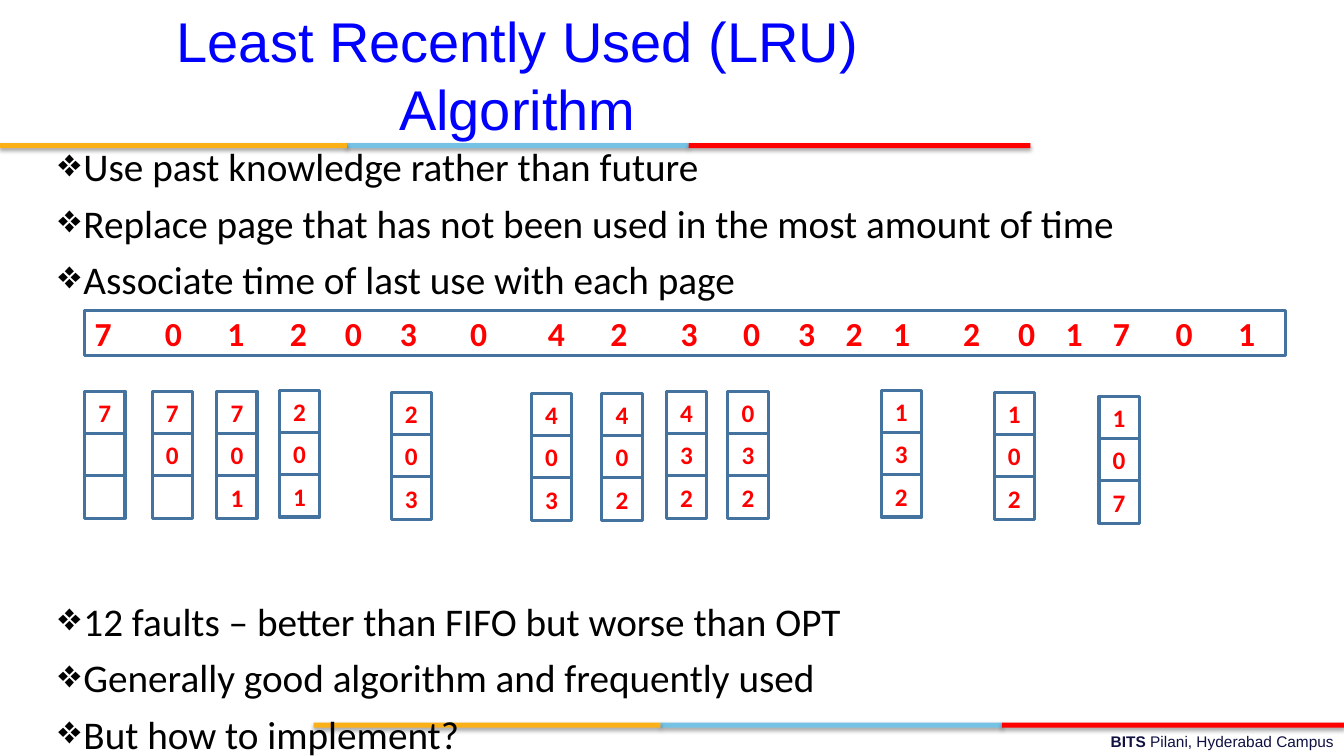
from itertools import accumulate
from typing import NamedTuple

from lxml.etree import SubElement
from pptx import Presentation
from pptx.dml.color import RGBColor
from pptx.enum.shapes import MSO_SHAPE
from pptx.enum.text import MSO_ANCHOR as Anchor, PP_ALIGN as Align
from pptx.oxml.ns import qn
from pptx.util import Inches, Pt

RED, BLACK, FRAME_BLUE = "FF0000", "000000", "43739E"
PAGE_FORMAT = {"name": "Calibri", "bold": True}


class Band(NamedTuple):
    offset: float
    width: float
    color: str


class FrameState(NamedTuple):
    left: float
    top: float
    pages: str


BANDS = [Band(3.44, 3.39, "76C2E5"), Band(0, 3.44, "FCB017"), Band(6.83, 3.39, RED)]
BAND_STARTS = [(0, 1.42), (3.11, 7.17)]
BAND_HEIGHT = 0.05

FRAME_STATES = [
    FrameState(0.84, 3.88, "7  "),
    FrameState(1.51, 3.88, "70 "),
    FrameState(2.15, 3.88, "701"),
    FrameState(2.77, 3.87, "201"),
    FrameState(3.88, 3.89, "203"),
    FrameState(5.27, 3.9, "403"),
    FrameState(5.97, 3.9, "402"),
    FrameState(6.61, 3.88, "432"),
    FrameState(7.22, 3.88, "032"),
    FrameState(8.74, 3.87, "132"),
    FrameState(9.86, 3.89, "102"),
    FrameState(10.9, 3.93, "107"),
]
CELL_WIDTH, CELL_HEIGHT = 0.4, 0.42

REFERENCES = "70120304230321201701"
# Width of each gap between references, in units of one space
GAPS = [7, 6, 6, 5, 5, 7, 8, 6, 7, 6, 5, 4, 4, 7, 5, 4, 4, 6, 6]
DIGIT_WIDTH, SPACE_WIDTH = 12.17, 5.42

IDEAS = [
    "Use past knowledge rather than future",
    "Replace page that has not been used in the most amount of time",
    "Associate time of last use with each page",
]
FINDINGS = [
    "12 faults – better than FIFO but worse than OPT",
    "Generally good algorithm and frequently used",
    "But how to implement?",
]
POINT_GAP, DIAGRAM_GAP = 10, 214


def rgb(color: str) -> RGBColor:
    return RGBColor.from_string(color)


def add_run(paragraph, text: str, size: float, color: str, **formats) -> None:
    run = paragraph.add_run()
    run.text = text
    run.font.color.rgb = rgb(color)
    for name, value in {"size": Pt(size), **formats}.items():
        setattr(run.font, name, value)


def add_text_area(slide, left: float, top: float, width: float, height: float):
    area = slide.shapes.add_textbox(*map(Inches, (left, top, width, height)))
    area.text_frame.word_wrap = True
    return area.text_frame


def add_rectangle(slide, left: float, top: float, width: float, height: float):
    box = slide.shapes.add_shape(
        MSO_SHAPE.RECTANGLE, *map(Inches, (left, top, width, height)))
    box.shadow.inherit = False
    return box


def add_outline(slide, left: float, top: float, width: float, height: float,
                line_width: float):
    """Add an unfilled blue rectangle and return its text frame."""
    box = add_rectangle(slide, left, top, width, height)
    box.fill.background()
    box.line.color.rgb = rgb(FRAME_BLUE)
    box.line.width = Pt(line_width)
    box.text_frame.vertical_anchor = Anchor.MIDDLE
    return box.text_frame


def add_band(slide, band: Band, left: float, top: float) -> None:
    bar = add_rectangle(slide, left + band.offset, top, band.width, BAND_HEIGHT)
    bar.fill.solid()
    bar.fill.fore_color.rgb = rgb(band.color)
    bar.line.fill.background()
    effects = bar._element.spPr.find(qn("a:effectLst"))
    shadow = SubElement(effects, qn("a:outerShdw"), blurRad=str(Pt(3.1)),
                        dist=str(Pt(1.8)), dir="5400000", rotWithShape="0")
    tint = SubElement(shadow, qn("a:srgbClr"), val=BLACK)
    SubElement(tint, qn("a:alpha"), val="35000")


def add_points(slide) -> None:
    frame = add_text_area(slide, 0.48, 1.42, 13.03, 5.53)
    for index, text in enumerate(IDEAS + FINDINGS):
        point = frame.add_paragraph() if index else frame.paragraphs[0]
        point.line_spacing = 0.9
        if index:
            point.space_before = Pt(DIAGRAM_GAP if index == len(IDEAS) else POINT_GAP)
        props = point._p.get_or_add_pPr()
        props.set("marL", str(Inches(0.25)))
        props.set("indent", str(Inches(-0.25)))
        bullet_color = SubElement(props, qn("a:buClr"))
        SubElement(bullet_color, qn("a:srgbClr"), val=BLACK)
        SubElement(props, qn("a:buChar"), char="❖")
        add_run(point, text, 28, BLACK, name="Calibri")


def add_reference_string(slide) -> None:
    frame = add_outline(slide, 0.84, 3.08, 11.91, 0.45, 2)
    references = frame.paragraphs[0]
    references.alignment = Align.LEFT
    tabs = SubElement(references._p.get_or_add_pPr(), qn("a:tabLst"))
    for stop in accumulate(DIGIT_WIDTH + gap * SPACE_WIDTH for gap in GAPS):
        SubElement(tabs, qn("a:tab"), pos=str(Pt(stop)), algn="l")
    add_run(references, "\t".join(REFERENCES), 24, RED, **PAGE_FORMAT)


def add_frame_state(slide, state: FrameState) -> None:
    for row, page in enumerate(state.pages):
        cell = add_outline(slide, state.left, state.top + row * CELL_HEIGHT,
                           CELL_WIDTH, CELL_HEIGHT, 2.25)
        if page != " ":
            cell.paragraphs[0].alignment = Align.CENTER
            add_run(cell.paragraphs[0], page, 18, RED, **PAGE_FORMAT)


def main() -> None:
    deck = Presentation()
    deck.slide_width, deck.slide_height = Inches(13.33), Inches(7.5)
    slide = deck.slides.add_slide(deck.slide_layouts[6])

    for left, top in BAND_STARTS:
        for band in BANDS:
            add_band(slide, band, left, top)

    campus = add_text_area(slide, 4.78, 7.21, 8.55, 0.28).paragraphs[0]
    campus.alignment = Align.RIGHT
    add_run(campus, "BITS ", 11, "101141", name="Arial", bold=True)
    add_run(campus, "Pilani, Hyderabad Campus", 11, "101141", name="Arial")

    title = add_text_area(slide, 0.48, 0.02, 9.3, 1.43).paragraphs[0]
    title.alignment = Align.CENTER
    add_run(title, "Least Recently Used (LRU) Algorithm", 40, "0000FF", name="Arial")

    add_points(slide)
    add_reference_string(slide)
    for state in FRAME_STATES:
        add_frame_state(slide, state)

    deck.save("out.pptx")


if __name__ == "__main__":
    main()
